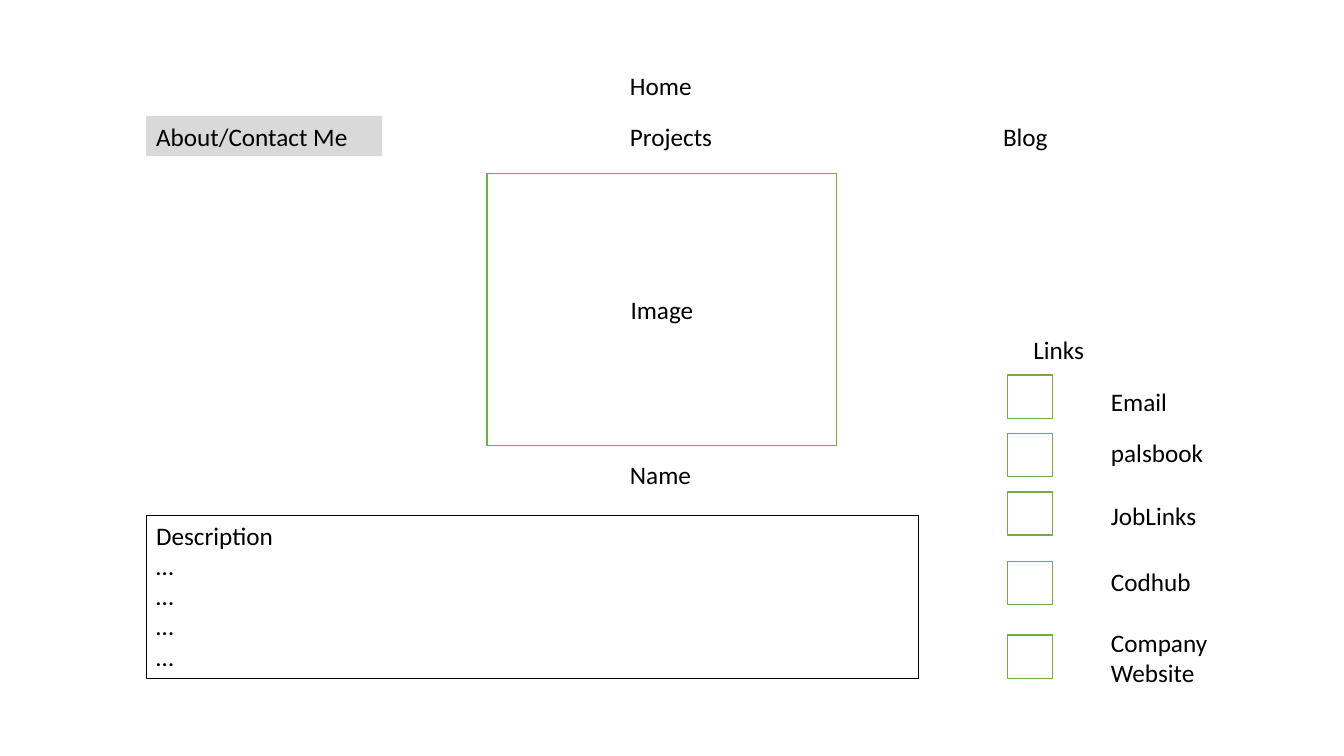
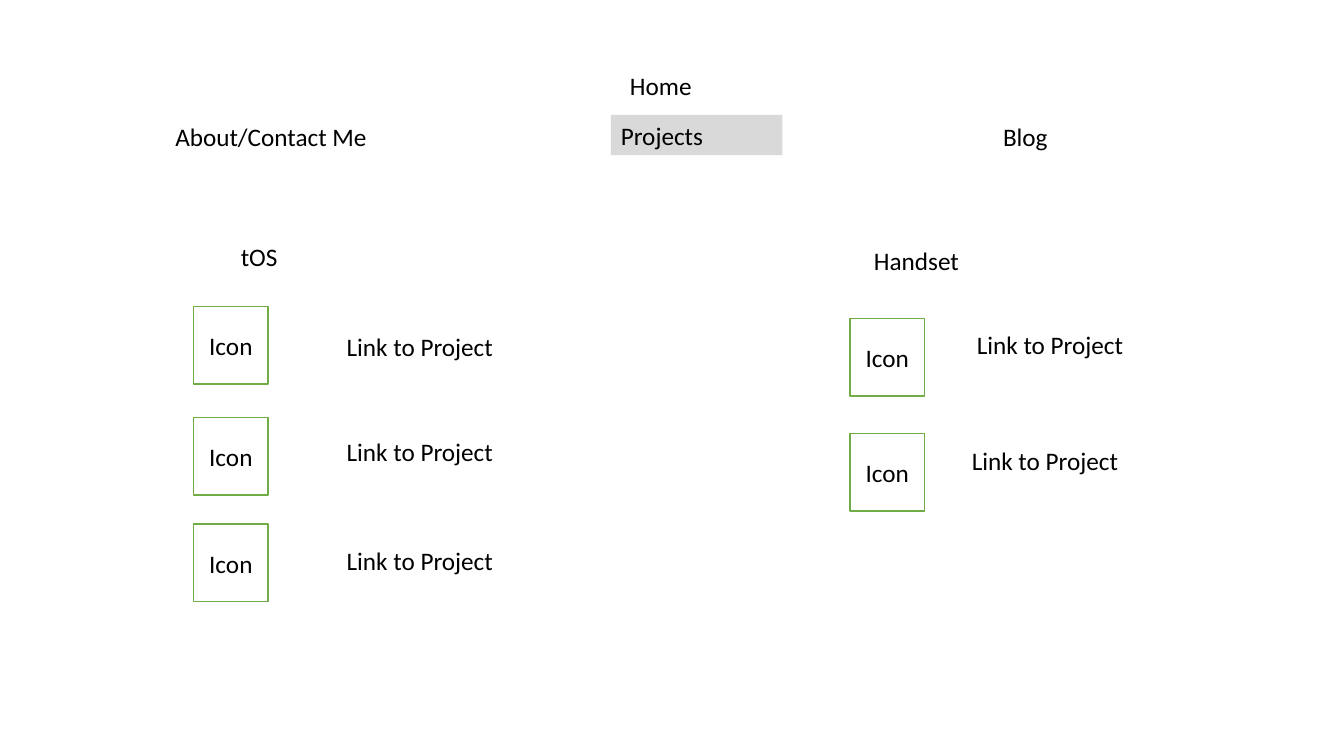
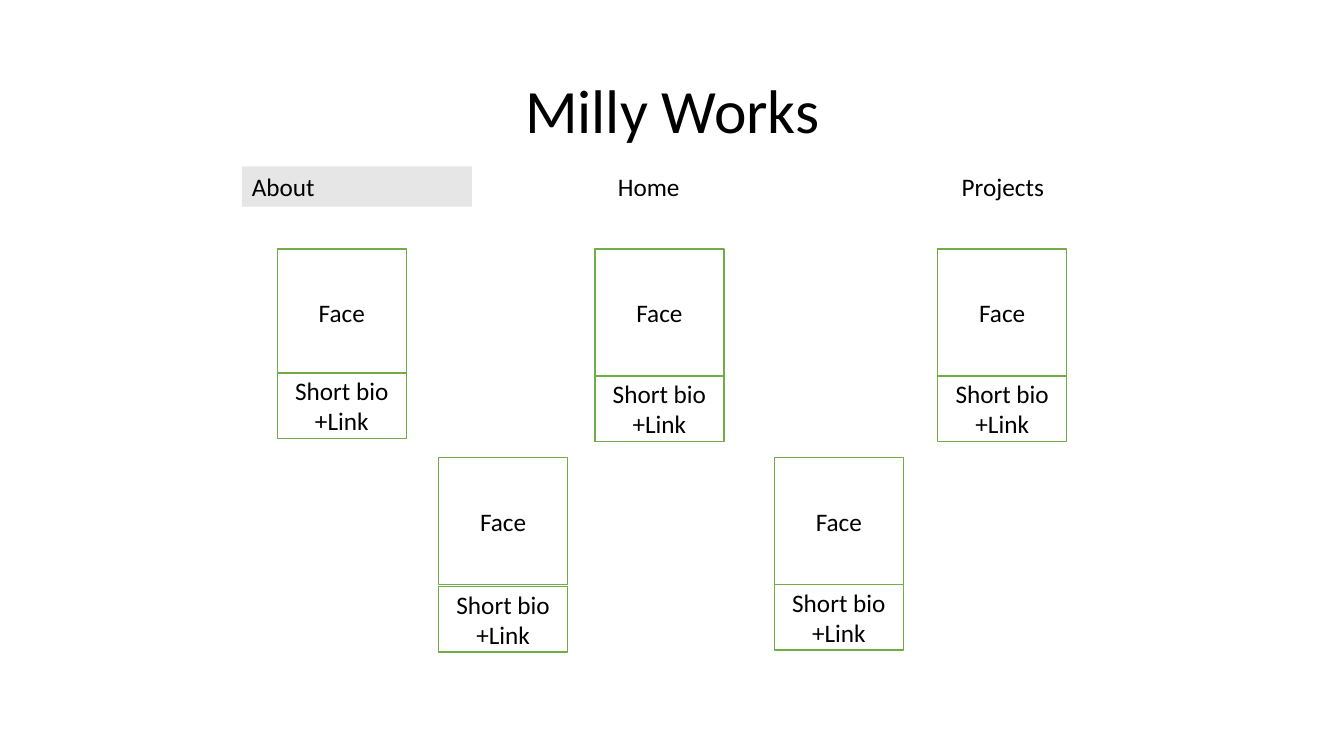
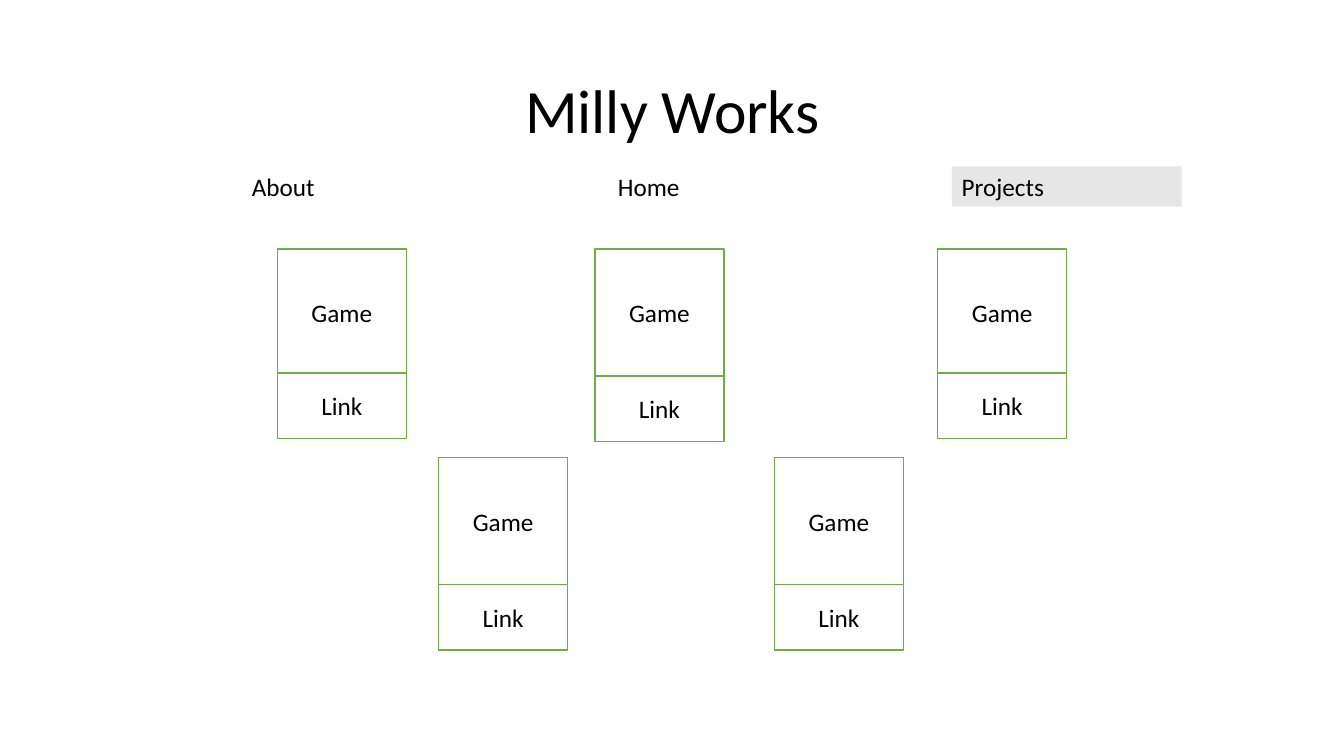
from dataclasses import dataclass

from pptx import Presentation
from pptx.dml.color import RGBColor
from pptx.enum.shapes import MSO_SHAPE
from pptx.enum.text import MSO_ANCHOR, PP_ALIGN
from pptx.util import Inches, Pt


@dataclass(frozen=True)
class Theme:
    """Colours, font and type sizes shared by every slide."""

    font: str = "Calibri"
    body_size: int = 18
    title_size: int = 44
    ink: RGBColor = RGBColor(0, 0, 0)
    paper: RGBColor = RGBColor(255, 255, 255)
    outline: RGBColor = RGBColor(0x70, 0xAD, 0x47)
    active: RGBColor = RGBColor(0xD9, 0xD9, 0xD9)
    active_light: RGBColor = RGBColor(0xE7, 0xE6, 0xE6)


THEME = Theme()
ROW_HEIGHT = 0.4
CARD_WIDTH = 1.28
CARD_POSITIONS = [(2.75, 2.47), (5.9, 2.47), (9.3, 2.47), (4.35, 4.54), (7.68, 4.54)]


def write(frame, lines, size=THEME.body_size, align=PP_ALIGN.LEFT, anchor=MSO_ANCHOR.TOP):
    """Fill a text frame with one paragraph per line."""
    frame.word_wrap = True
    frame.vertical_anchor = anchor
    frame.text = "\n".join(lines)
    for paragraph in frame.paragraphs:
        paragraph.alignment = align
        paragraph.font.name = THEME.font
        paragraph.font.size = Pt(size)
        paragraph.font.color.rgb = THEME.ink


def add_label(slide, text, left, top, width, fill=None, height=ROW_HEIGHT):
    """Add left-aligned text, on a filled band when a fill is given."""
    label = slide.shapes.add_textbox(Inches(left), Inches(top), Inches(width), Inches(height))
    if fill is not None:
        label.fill.solid()
        label.fill.fore_color.rgb = fill
    write(label.text_frame, [text])


def add_box(slide, left, top, width, height, lines=()):
    """Add a green-outlined box with centred text."""
    box = slide.shapes.add_shape(
        MSO_SHAPE.RECTANGLE, Inches(left), Inches(top), Inches(width), Inches(height)
    )
    box.shadow.inherit = False
    box.fill.solid()
    box.fill.fore_color.rgb = THEME.paper
    box.line.color.rgb = THEME.outline
    box.line.width = Pt(1)
    if lines:
        write(box.text_frame, lines, align=PP_ALIGN.CENTER, anchor=MSO_ANCHOR.MIDDLE)


def add_description(slide):
    """Add the black-outlined description panel."""
    panel = slide.shapes.add_textbox(Inches(1.45), Inches(5.11), Inches(7.66), Inches(1.62))
    panel.line.color.rgb = THEME.ink
    panel.line.width = Pt(0.75)
    write(panel.text_frame, ["Description"] + ["…"] * 4)


def add_site_title(slide):
    """Add the large centred site name."""
    title = slide.shapes.add_textbox(Inches(0.92), Inches(0.4), Inches(11.5), Inches(1.45))
    write(title.text_frame, ["Milly Works"], THEME.title_size, PP_ALIGN.CENTER, MSO_ANCHOR.MIDDLE)
    title.text_frame.paragraphs[0].line_spacing = 0.9


def add_team_menu(slide, active):
    """Add the three-part menu with the active page on a band."""
    for name, left in (("About", 2.4), ("Home", 6.03), ("Projects", 9.44)):
        add_label(slide, name, left, 1.65, 2.28, THEME.active_light if name == active else None)


def add_personal_menu(slide):
    """Add the menu entries that stay the same on the personal pages."""
    add_label(slide, "Home", 6.15, 0.65, 1.7)
    add_label(slide, "Blog", 9.85, 1.15, 1.7)


def add_icon_rows(slide, icon_left, rows):
    """Add project icons, each with its link text."""
    for icon_top, link_left, link_top in rows:
        add_box(slide, icon_left, icon_top, 0.74, 0.77, ["Icon"])
        add_label(slide, "Link to Project", link_left, link_top, 2.13)


def build_contact_slide(slide):
    """Build the contact page with profile and links."""
    add_personal_menu(slide)
    add_label(slide, "About/Contact Me", 1.45, 1.15, 2.34, THEME.active)
    add_label(slide, "Projects", 6.15, 1.15, 1.7)
    add_box(slide, 4.83, 1.72, 3.47, 2.7, ["Image"])
    add_label(slide, "Name", 6.15, 4.51, 3.53)
    add_description(slide)
    add_label(slide, "Links", 10.15, 3.27, 2.13)
    links = [
        ("Email", 3.72, 3.78, ROW_HEIGHT),
        ("palsbook", 4.3, 4.29, ROW_HEIGHT),
        ("JobLinks", 4.88, 4.91, ROW_HEIGHT),
        ("Codhub", 5.57, 5.57, ROW_HEIGHT),
        ("Company Website", 6.3, 6.17, 0.71),
    ]
    for name, box_top, label_top, height in links:
        add_box(slide, 9.99, box_top, 0.45, 0.43)
        add_label(slide, name, 10.92, label_top, 1.62, height=height)


def build_projects_slide(slide):
    """Build the projects page with one column per platform."""
    add_personal_menu(slide)
    add_label(slide, "About/Contact Me", 1.64, 1.15, 2.34, THEME.paper)
    add_label(slide, "Projects", 6.06, 1.14, 1.7, THEME.active)
    add_label(slide, "tOS", 2.29, 2.34, 3.53)
    add_icon_rows(slide, 1.92, [(3.04, 3.34, 3.24), (4.14, 3.34, 4.28), (5.2, 3.34, 5.36)])
    add_label(slide, "Handset", 8.57, 2.38, 1.2)
    add_icon_rows(slide, 8.43, [(3.16, 9.59, 3.22), (4.3, 9.54, 4.37)])


def build_team_slide(slide, active, heading, caption, caption_tops):
    """Build a team page with five captioned cards."""
    add_site_title(slide)
    add_team_menu(slide, active)
    for left, top in CARD_POSITIONS:
        add_box(slide, left, top, CARD_WIDTH, 1.26, [heading])
    for (left, _), caption_top in zip(CARD_POSITIONS, caption_tops):
        add_box(slide, left, caption_top, CARD_WIDTH, 0.65, caption)


def main():
    """Build and save the presentation."""
    presentation = Presentation()
    presentation.slide_width = Inches(13.33)
    presentation.slide_height = Inches(7.5)
    blank = presentation.slide_layouts[6]
    contact, projects, about, games = [presentation.slides.add_slide(blank) for _ in range(4)]
    build_contact_slide(contact)
    build_projects_slide(projects)
    build_team_slide(about, "About", "Face", ["Short bio", "+Link"], [3.7, 3.73, 3.73, 5.82, 5.8])
    build_team_slide(games, "Projects", "Game", ["Link"], [3.7, 3.73, 3.7, 5.8, 5.8])
    presentation.save("out.pptx")


main()
